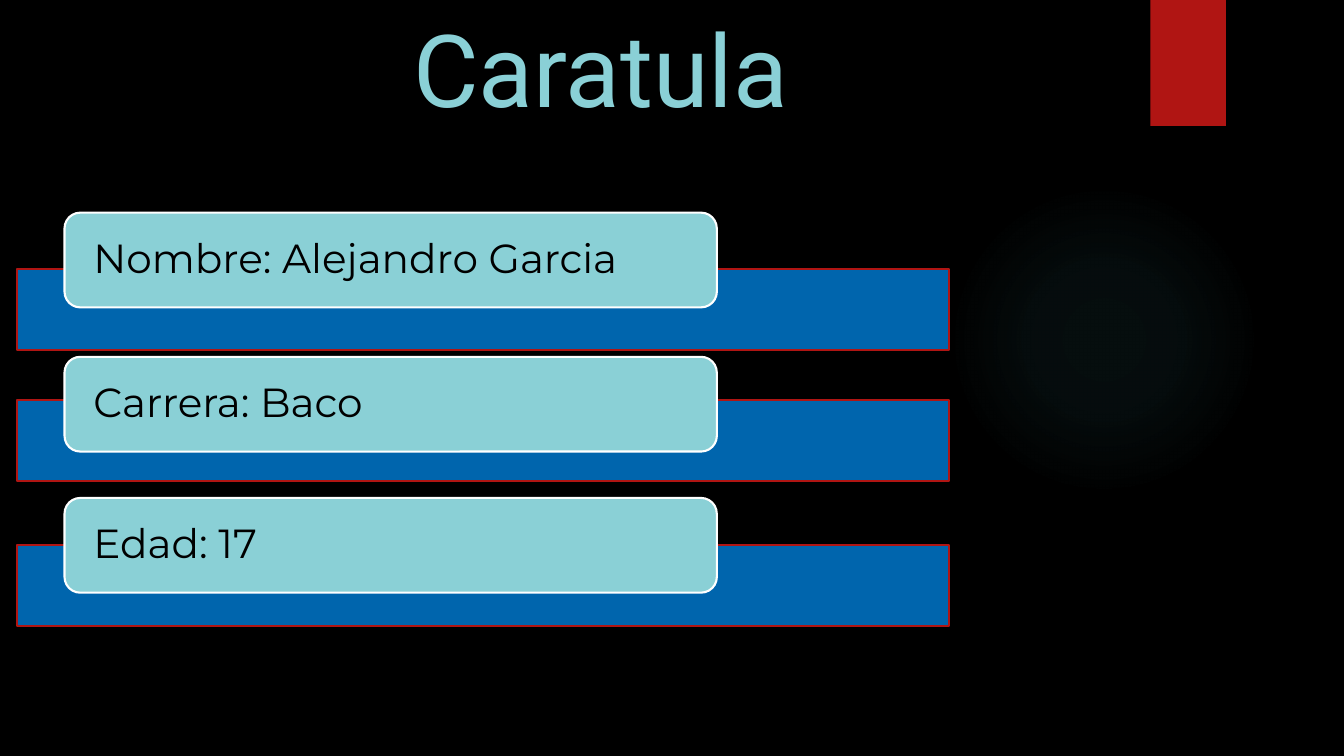
from lxml import etree
from pptx import Presentation
from pptx.dml.color import RGBColor
from pptx.enum import shapes, text
from pptx.oxml import ns
from pptx.util import Inches, Pt

TITLE = "Caratula "
ROWS = [
    ("Nombre: Alejandro Garcia", 2.11, 2.67),
    ("Carrera: Baco", 3.54, 3.97),
    ("Edad: 17", 4.94, 5.41),
]
GLOW_STOPS = [(0, 7), (36, 6), (69, 0)]

BLACK = RGBColor(0x00, 0x00, 0x00)
WHITE = RGBColor(0xFF, 0xFF, 0xFF)
RED = RGBColor(0xB0, 0x15, 0x13)
BLUE = RGBColor(0x00, 0x70, 0xC0)
AQUA = RGBColor(0x8A, 0xD0, 0xD6)
TEAL = RGBColor(0x50, 0xB9, 0xC1)
SHAPE = shapes.MSO_SHAPE


def add_alpha(color, percent):
    etree.SubElement(color, ns.qn("a:alpha"), val=str(percent * 1000))


def add_box(slide, kind, box, fill, line=None):
    s = slide.shapes.add_shape(kind, *map(Inches, box))
    s.shadow.inherit = False
    s.fill.solid()
    s.fill.fore_color.rgb = fill
    if line is None:
        s.line.fill.background()
    else:
        s.line.color.rgb = line
        s.line.width = Pt(1.5)
    return s


def add_glow(slide):
    s = add_box(slide, SHAPE.OVAL, (9.41, 1.83, 3.08, 3.08), TEAL)
    solid = s._element.spPr.find(ns.qn("a:solidFill"))
    grad = etree.Element(ns.qn("a:gradFill"), rotWithShape="1")
    stops = etree.SubElement(grad, ns.qn("a:gsLst"))
    for position, opacity in GLOW_STOPS:
        stop = etree.SubElement(stops, ns.qn("a:gs"), pos=str(position * 1000))
        add_alpha(etree.SubElement(stop, ns.qn("a:srgbClr"), val=str(TEAL)), opacity)
    circle = etree.SubElement(grad, ns.qn("a:path"), path="circle")
    etree.SubElement(circle, ns.qn("a:fillToRect"), l="50000", t="50000", r="50000", b="50000")
    solid.getparent().replace(solid, grad)


def add_title(slide):
    title = slide.shapes.title
    title.left, title.top, title.width, title.height = map(Inches, (1.26, -1.22, 9.65, 2.54))
    tf = title.text_frame
    tf.text = TITLE
    tf.vertical_anchor = text.MSO_ANCHOR.BOTTOM
    p = tf.paragraphs[0]
    p.alignment = text.PP_ALIGN.CENTER
    p.line_spacing = 1.0
    font = p.runs[0].font
    font.name, font.size, font.color.rgb = "Roboto", Pt(72), AQUA


def add_row(slide, label, label_top, bar_top):
    bar = add_box(slide, SHAPE.RECTANGLE, (0.17, bar_top, 9.24, 0.8), BLUE, RED)
    add_alpha(bar._element.spPr.find(ns.qn("a:solidFill"))[0], 90)
    s = add_box(slide, SHAPE.ROUNDED_RECTANGLE, (0.64, label_top, 6.47, 0.94), AQUA, WHITE)
    tf = s.text_frame
    tf.text = label
    tf.vertical_anchor = text.MSO_ANCHOR.MIDDLE
    tf.margin_left = tf.margin_right = Inches(0.24)
    tf.margin_top = tf.margin_bottom = 0
    p = tf.paragraphs[0]
    p.alignment = text.PP_ALIGN.LEFT
    p.line_spacing = 0.9
    font = p.runs[0].font
    font.name, font.size, font.color.rgb = "Montserrat", Pt(29), BLACK


def main():
    """Build the cover slide with its three personal details."""
    prs = Presentation()
    prs.slide_width, prs.slide_height = Inches(13.33), Inches(7.5)
    slide = prs.slides.add_slide(prs.slide_layouts[5])
    slide.background.fill.solid()
    slide.background.fill.fore_color.rgb = BLACK
    add_glow(slide)
    add_box(slide, SHAPE.RECTANGLE, (11.41, 0, 0.75, 1.25), RED)
    add_title(slide)
    for row in ROWS:
        add_row(slide, *row)
    prs.save("out.pptx")


if __name__ == "__main__":
    main()
